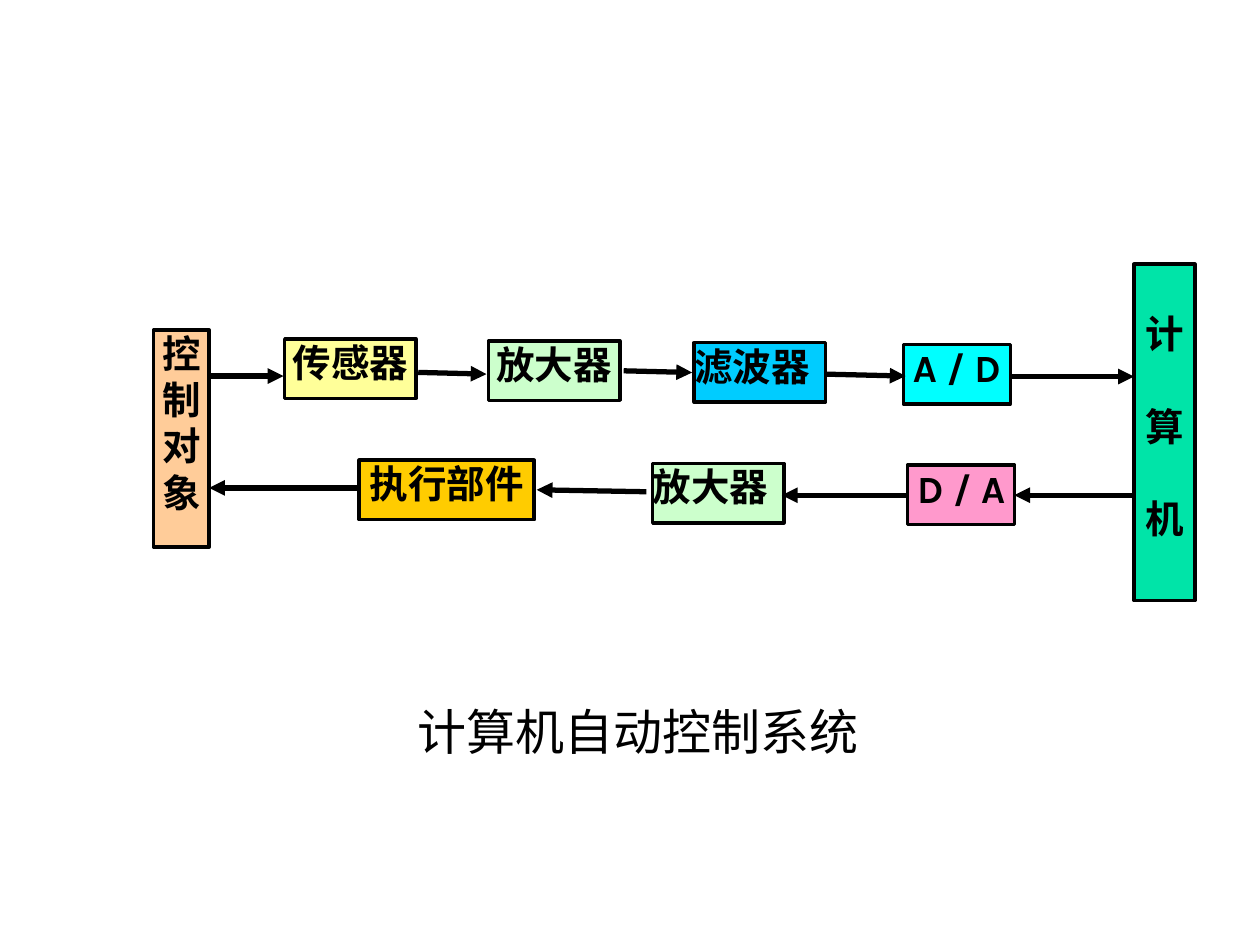
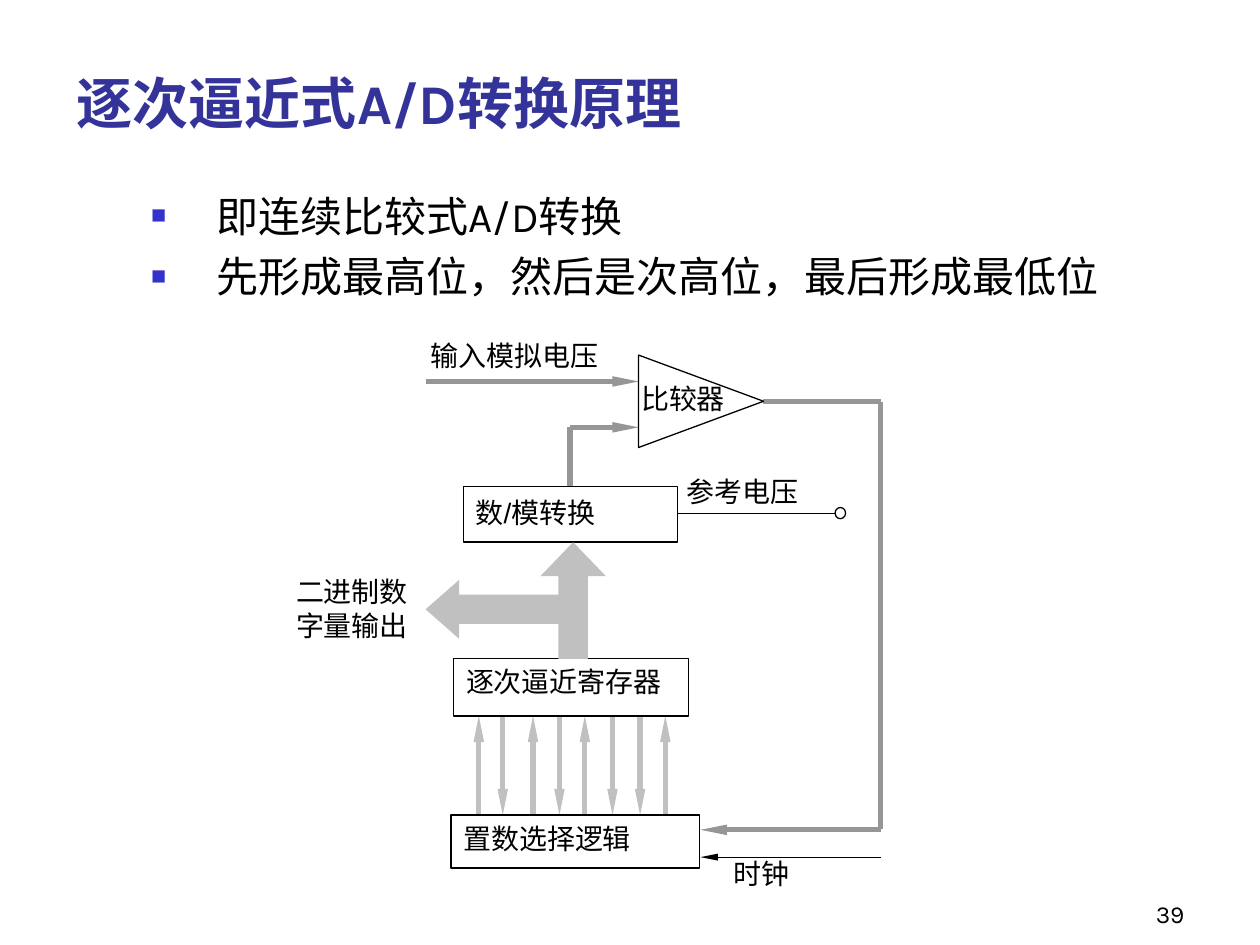
from pptx import Presentation
from pptx.dml.color import RGBColor
from pptx.enum import shapes, text
from pptx.oxml import parse_xml
from pptx.oxml.ns import nsdecls, qn
from pptx.util import Pt

BLACK = RGBColor(0x00, 0x00, 0x00)
WHITE = RGBColor(0xFF, 0xFF, 0xFF)
NAVY = RGBColor(0x33, 0x33, 0x99)
GREEN = RGBColor(0x00, 0xE4, 0xA8)
PEACH = RGBColor(0xFF, 0xCC, 0x99)
YELLOW = RGBColor(0xFF, 0xFF, 0x99)
MINT = RGBColor(0xCC, 0xFF, 0xCC)
SKY = RGBColor(0x00, 0xCC, 0xFF)
CYAN = RGBColor(0x00, 0xFF, 0xFF)
PINK = RGBColor(0xFF, 0x99, 0xCC)
GOLD = RGBColor(0xFF, 0xCC, 0x00)
SILVER = RGBColor(0xC0, 0xC0, 0xC0)
GRAY = RGBColor(0x96, 0x96, 0x96)

MAIN_FONT = "Karla"
LABEL_FONT = "Arial"
LEFT, CENTER, RIGHT = text.PP_ALIGN.LEFT, text.PP_ALIGN.CENTER, text.PP_ALIGN.RIGHT
TOP, BOTTOM = text.MSO_ANCHOR.TOP, text.MSO_ANCHOR.BOTTOM
RECT = shapes.MSO_SHAPE.RECTANGLE
BULLET = (
    '<a:buClr {ns}><a:srgbClr val="3333CC"/></a:buClr>',
    '<a:buSzPct {ns} val="60000"/>',
    '<a:buFont {ns} typeface="Arial"/>',
    '<a:buChar {ns} char="■"/>',
)


class Deck:
    def __init__(self):
        self.prs = Presentation()
        self.prs.slide_width, self.prs.slide_height = Pt(720), Pt(540)
        self.s = None

    def slide(self, layout):
        self.s = self.prs.slides.add_slide(self.prs.slide_layouts[layout])

    def fill_text(self, tf, lines, size, font=MAIN_FONT, color=BLACK, bold=False,
                  align=LEFT, anchor=TOP, inset=(7.2, 3.6), gap=0, bullets=False, spacing=1):
        tf.vertical_anchor = anchor
        tf.auto_size = text.MSO_AUTO_SIZE.NONE
        tf.margin_left = tf.margin_right = Pt(inset[0])
        tf.margin_top = tf.margin_bottom = Pt(inset[1])
        for i, line in enumerate(lines):
            p = tf.paragraphs[0] if i == 0 else tf.add_paragraph()
            if bullets:
                pPr = p._p.get_or_add_pPr()
                pPr.set("marL", str(Pt(37.5)))
                pPr.set("indent", str(-Pt(37.5)))
                for xml in BULLET:
                    pPr.append(parse_xml(xml.format(ns=nsdecls("a"))))
            p.alignment = align
            p.line_spacing = spacing
            p.space_before = Pt(gap if i else 0)
            r = p.add_run()
            r.text = line
            f = r.font
            f.name, f.size, f.bold, f.color.rgb = font, Pt(size), bold, color

    def placeholder(self, sp, at, lines, size, **style):
        sp.left, sp.top, sp.width, sp.height = map(Pt, at)
        self.fill_text(sp.text_frame, lines, size, **style)

    def label(self, at, content, size=16, wrap=False, font=LABEL_FONT, inset=(0, 0), **style):
        tf = self.s.shapes.add_textbox(*map(Pt, at)).text_frame
        tf.word_wrap = wrap
        self.fill_text(tf, [content], size, font=font, inset=inset, **style)

    def shape(self, kind, at, fill=None, line=None, adjust=()):
        sp = self.s.shapes.add_shape(kind, *map(Pt, at))
        sp.shadow.inherit = False
        for i, value in enumerate(adjust):
            sp.adjustments[i] = value
        if fill is None:
            sp.fill.background()
        else:
            sp.fill.solid()
            sp.fill.fore_color.rgb = fill
        if line is None:
            sp.line.fill.background()
        else:
            sp.line.color.rgb, sp.line.width = BLACK, Pt(line)
        return sp

    def block(self, at, lines, fill, align=CENTER, inset=0, gap=0):
        tf = self.shape(RECT, at, fill, 2).text_frame
        tf.word_wrap = True
        self.fill_text(tf, lines, 22, bold=True, align=align, inset=(0, inset), gap=gap)

    def unit(self, at, content, spacing=1):
        tf = self.shape(RECT, at, WHITE, 0.75).text_frame
        tf.word_wrap = True
        self.fill_text(tf, [content], 16, font=LABEL_FONT, spacing=spacing)

    def line(self, x1, y1, x2, y2, color=BLACK, width=3, head=None):
        c = self.s.shapes.add_connector(shapes.MSO_CONNECTOR.STRAIGHT, *map(Pt, (x1, y1, x2, y2)))
        c.line.color.rgb, c.line.width = color, Pt(width)
        spPr = c.element.spPr
        if head:
            spPr.find(qn("a:ln")).append(parse_xml(
                '<a:tailEnd %s type="triangle" w="%s" len="%s"/>' % (nsdecls("a"), *head)))
        spPr.append(parse_xml("<a:effectLst %s/>" % nsdecls("a")))


BROAD = ("med", "med")
SLIM = ("sm", "lg")


def control_system(d):
    d.slide(6)
    d.label((160.5, 397.5, 408, 41), "计算机自动控制系统", 28, True, MAIN_FONT,
            (7.2, 3.6), align=CENTER)
    d.block((648, 151, 34.8, 192.2), "计算机", GREEN, inset=26.4, gap=26.4)
    d.block((87.8, 188.6, 31.8, 124), "控制对象", PEACH)
    for x, y, w, name, fill, align in (
        (162.7, 193.7, 75, "传感器", YELLOW, CENTER),
        (279.2, 194.8, 75, "放大器", MINT, CENTER),
        (396.7, 195.8, 75, "滤波器", SKY, LEFT),
        (516.2, 196.8, 61.2, "A / D", CYAN, CENTER),
        (518.6, 265.8, 61.2, "D / A", PINK, CENTER),
        (373, 264.8, 75, "放大器", MINT, LEFT),
        (205.3, 263, 100, "执行部件", GOLD, CENTER),
    ):
        d.block((x, y, w, 34), [name], fill, align)
    for ends in (
        (118.5, 214.9, 162, 214.9), (239, 212.8, 278, 213.8),
        (356.4, 211.9, 395.5, 212.9), (471.6, 213.8, 517.5, 214.9),
        (577.4, 215.2, 648, 215.2), (648, 283, 579.6, 283),
        (517.7, 283, 446.8, 283), (369.4, 281, 306.7, 279.9),
        (204.5, 278.8, 119.5, 278.8),
    ):
        d.line(*ends, head=BROAD)


def approximation(d):
    d.slide(1)
    d.label((534, 498, 150, 36), "39", 14, True, MAIN_FONT, (7.2, 3.6),
            align=RIGHT, anchor=BOTTOM)
    title, body = d.s.placeholders
    d.placeholder(title, (36.7, 10, 612, 71.3), ["逐次逼近式A/D转换原理"], 32,
                  color=NAVY, bold=True, anchor=BOTTOM)
    d.placeholder(body, (79.2, 105, 559, 77),
                  ["即连续比较式A/D转换", "先形成最高位，然后是次高位，最后形成最低位"], 24,
                  gap=6, bullets=True)

    register_bottom, logic_top = 409, 465.8
    for x in (273.6, 304.6, 334.2, 380.2):
        d.line(x, logic_top, x, register_bottom, SILVER, head=SLIM)
    for x in (287.3, 319.7, 350, 365.8):
        d.line(x, register_bottom, x, logic_top, SILVER, head=SLIM)

    d.unit((264.8, 278, 122.4, 31.8), "数/模转换", 1.1)
    d.unit((257.8, 465.8, 141.8, 30.3), "置数选择逻辑")
    d.unit((259.2, 376.3, 134.4, 32.9), "逐次逼近寄存器")

    d.line(325.8, 244.2, 325.8, 278, GRAY)
    d.line(325.8, 244.2, 365, 244.2, GRAY, head=SLIM)
    d.line(243.2, 218, 365, 218, GRAY, head=SLIM)
    d.line(436.3, 229.5, 503.2, 229.5, GRAY)
    d.line(503.2, 229.5, 503.2, 474, GRAY)
    d.line(503.2, 474.2, 400.3, 474.2, GRAY, head=SLIM)
    d.line(503.2, 489.8, 400.3, 489.8, width=0.75, head=SLIM)
    d.line(387.2, 293.6, 478, 293.6, width=0.75)
    d.shape(shapes.MSO_SHAPE.OVAL, (477.2, 290, 6, 6.4), WHITE, 0.75)

    for x, y, w, name in (
        (246.2, 193.7, 96, "输入模拟电压"), (366.4, 218.2, 48, "比较器"),
        (392.4, 271.4, 64, "参考电压"), (419, 489.6, 32, "时钟"),
    ):
        d.label((x, y, w, 19.4), name)
    d.label((169.2, 328.3, 74.2, 38.2), "二进制数字量输出", wrap=True)

    comparator = d.shape(shapes.MSO_SHAPE.ISOSCELES_TRIANGLE, (374.2, 193.6, 52.8, 71.4), line=0.75)
    comparator.rotation = 90
    d.shape(shapes.MSO_SHAPE.LEFT_ARROW, (243.2, 331.4, 76.3, 33.6), SILVER, adjust=(0.5, 0.57))
    d.shape(shapes.MSO_SHAPE.UP_ARROW, (308.8, 309.8, 37.4, 66.7), SILVER, adjust=(0.45, 0.52))


def main():
    d = Deck()
    control_system(d)
    approximation(d)
    d.prs.save("out.pptx")


if __name__ == "__main__":
    main()
